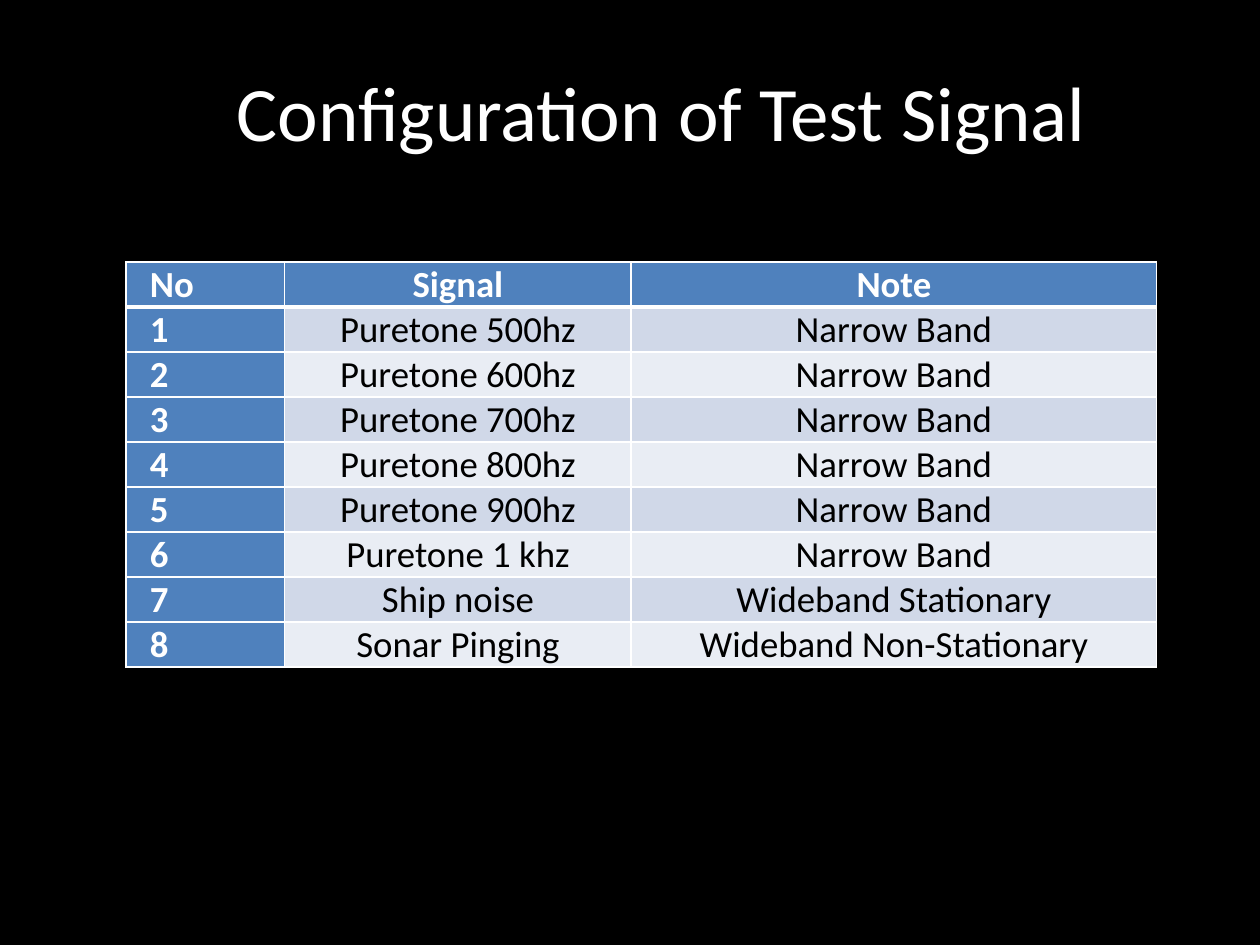
from dataclasses import dataclass

from lxml import etree
from pptx import Presentation
from pptx.dml.color import RGBColor
from pptx.enum.text import MSO_ANCHOR, PP_ALIGN
from pptx.oxml.ns import qn
from pptx.util import Inches, Pt

CENTER, LEFT = PP_ALIGN.CENTER, PP_ALIGN.LEFT
MIDDLE = MSO_ANCHOR.MIDDLE


@dataclass(frozen=True)
class Theme:
    font: str = "Calibri"
    title_size: int = 44
    table_size: int = 21
    background: str = "000000"
    light: str = "FFFFFF"
    dark: str = "000000"
    header: str = "4F81BD"
    bands: tuple = ("D0D8E8", "E9EDF4")


THEME = Theme()

HEADINGS = ("No", "Signal", "Note")
SIGNALS = [(f"Puretone {pitch}", "Narrow Band")
           for pitch in ("500hz", "600hz", "700hz", "800hz", "900hz", "1 khz")]
SIGNALS += [("Ship noise", "Wideband Stationary"),
            ("Sonar Pinging", "Wideband Non-Stationary")]
COLUMN_WIDTHS = (1.26, 2.75, 4.17)


def write(para, text, size, color, align, bold=False):
    para.alignment = align
    span = para.add_run()
    span.text = text
    span.font.name = THEME.font
    span.font.size = Pt(size)
    span.font.bold = bold
    span.font.color.rgb = RGBColor.from_string(color)


def set_borders(cell, bottom_width, top_width):
    """Draw the four cell borders; call before the fill is set."""
    properties = cell._tc.get_or_add_tcPr()
    widths = {"a:lnL": 1, "a:lnR": 1, "a:lnT": top_width, "a:lnB": bottom_width}
    for tag, width in widths.items():
        line = etree.SubElement(properties, qn(tag), w=str(Pt(width)))
        fill = etree.SubElement(line, qn("a:solidFill"))
        etree.SubElement(fill, qn("a:srgbClr"), val=THEME.light)


def style_cell(cell, text, row, column):
    is_header = row == 0 or column == 0
    set_borders(cell, bottom_width=3 if row == 0 else 1,
                top_width=3 if row == 1 else 1)
    cell.fill.solid()
    cell.fill.fore_color.rgb = RGBColor.from_string(
        THEME.header if is_header else THEME.bands[(row - 1) % 2])
    cell.margin_left = cell.margin_right = Inches(0.19)
    cell.margin_top = cell.margin_bottom = 0
    write(cell.text_frame.paragraphs[0], text, THEME.table_size,
          THEME.light if is_header else THEME.dark,
          LEFT if column == 0 else CENTER, bold=is_header)


def add_signal_table(page, left, top, width, height):
    rows = [HEADINGS]
    rows += [(str(number), *signal) for number, signal in enumerate(SIGNALS, 1)]
    table = page.shapes.add_table(len(rows), len(HEADINGS),
                                  left, top, width, height).table
    for column, column_width in zip(table.columns, COLUMN_WIDTHS):
        column.width = Inches(column_width)
    for row, texts in enumerate(rows):
        for column, text in enumerate(texts):
            style_cell(table.cell(row, column), text, row, column)


def add_title(page, left, top, width, height):
    frame = page.shapes.add_textbox(left, top, width, height).text_frame
    frame.word_wrap = True
    frame.vertical_anchor = MIDDLE
    write(frame.paragraphs[0], "Configuration of Test Signal",
          THEME.title_size, THEME.light, CENTER)


def main():
    deck = Presentation()
    deck.slide_width, deck.slide_height = Inches(10), Inches(7.5)
    page = deck.slides.add_slide(deck.slide_layouts[6])
    page.background.fill.solid()
    page.background.fill.fore_color.rgb = RGBColor.from_string(THEME.background)
    add_signal_table(page, Inches(1), Inches(2.08), Inches(8.18), Inches(3.15))
    add_title(page, Inches(0.75), Inches(0.25), Inches(9), Inches(1.25))
    deck.save("out.pptx")


if __name__ == "__main__":
    main()
